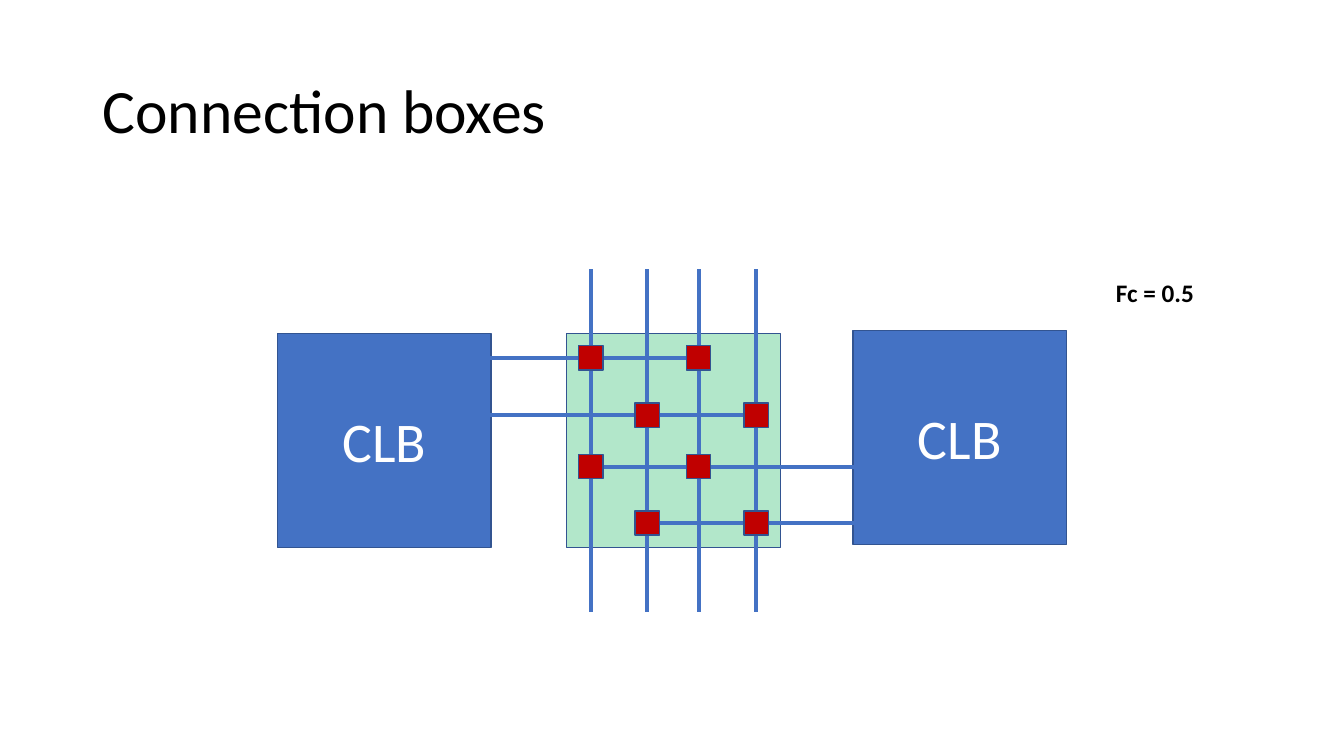
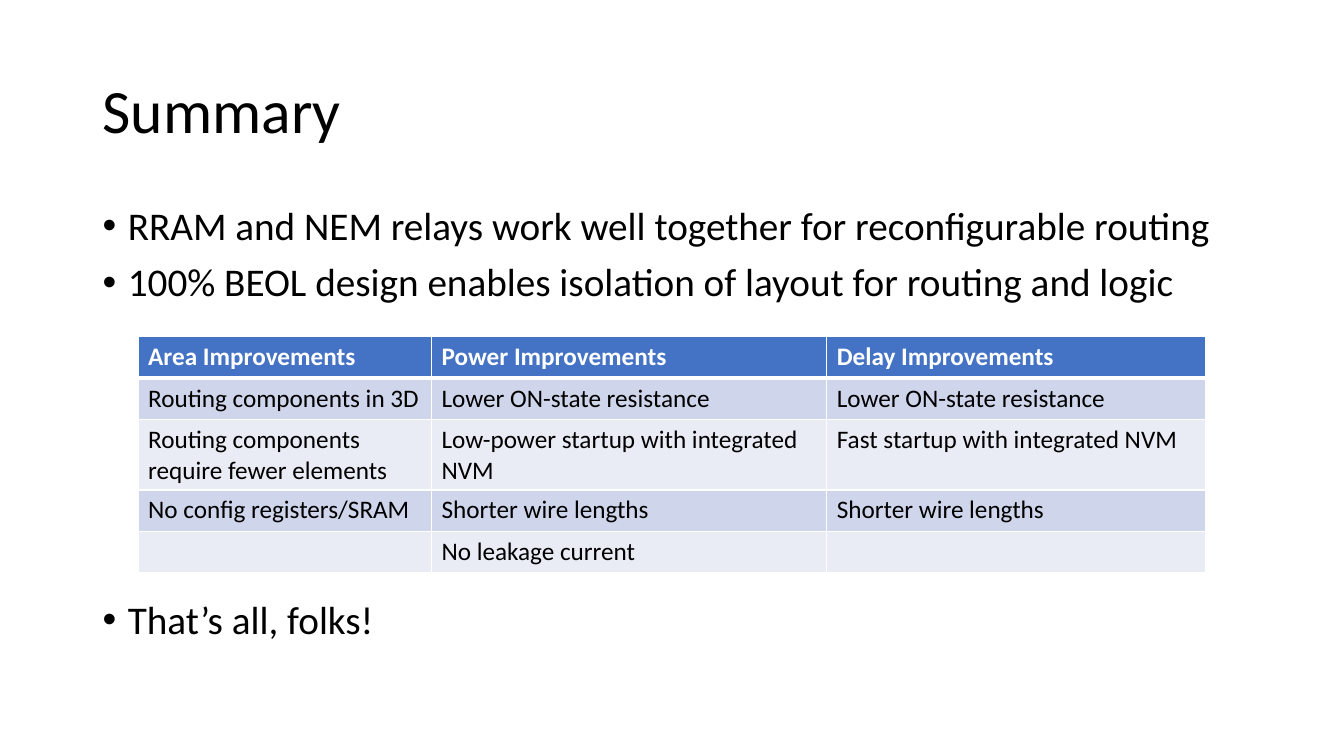
from lxml import etree
from pptx import Presentation
from pptx import util as u
from pptx.dml.color import RGBColor
from pptx.enum import shapes, text
from pptx.oxml.ns import qn

# Shared look
FONT = "Calibri"
BLACK, WHITE = "000000", "FFFFFF"
BLUE, OUTLINE = "4472C4", "325491"
GREEN, RED = "00B050", "C00000"
BANDS = ("CFD5EA", "E9EBF5")

# Connection box geometry, in inches
TRACKS_X = (5.86, 6.42, 6.93, 7.5)
PINS_Y = (3.55, 4.12, 4.63, 5.19)
WIRE_ENDS_X = ((4.09, TRACKS_X[2]), (4.09, TRACKS_X[3]),
               (TRACKS_X[0], 9.27), (TRACKS_X[1], 9.83))
BLOCK, SWITCH = 2.12, 0.24

IMPROVEMENTS = (
    ("Area Improvements", "Power Improvements", "Delay Improvements"),
    ("Routing components in 3D", "Lower ON-state resistance",
     "Lower ON-state resistance"),
    ("Routing components require fewer elements",
     "Low-power startup with integrated NVM",
     "Fast startup with integrated NVM"),
    ("No config registers/SRAM", "Shorter wire lengths",
     "Shorter wire lengths"),
    ("", "No leakage current", ""),
)


def rgb(value):
    return RGBColor.from_string(value)


def inches(*values):
    return [u.Inches(value) for value in values]


def apply(target, values):
    for name, value in values.items():
        setattr(target, name, value)


def write(paragraph, words, size, color=BLACK, bold=False, **layout):
    run = paragraph.add_run()
    run.text = words
    apply(run.font, {"name": FONT, "size": u.Pt(size), "bold": bold})
    run.font.color.rgb = rgb(color)
    apply(paragraph, layout)


def add_text_box(slide, box, **frame_format):
    frame = slide.shapes.add_textbox(*inches(*box)).text_frame
    apply(frame, {"word_wrap": True, **frame_format})
    return frame


def add_title(slide, words):
    frame = add_text_box(slide, (0.92, 0.4, 11.5, 1.45),
                         vertical_anchor=text.MSO_ANCHOR.MIDDLE)
    write(frame.paragraphs[0], words, 44, line_spacing=0.9)


def add_square(slide, left, top, side, color, label="", opacity=None):
    square = slide.shapes.add_shape(shapes.MSO_SHAPE.RECTANGLE,
                                    *inches(left, top, side, side))
    square.shadow.inherit = False
    square.fill.solid()
    square.fill.fore_color.rgb = rgb(color)
    if opacity is not None:
        fill_color = square.element.spPr.find(
            f"{qn('a:solidFill')}/{qn('a:srgbClr')}")
        etree.SubElement(fill_color, qn("a:alpha"), val=str(opacity * 1000))
    square.line.color.rgb = rgb(OUTLINE)
    square.line.width = u.Pt(1)
    if label:
        square.text_frame.vertical_anchor = text.MSO_ANCHOR.MIDDLE
        write(square.text_frame.paragraphs[0], label, 40, WHITE,
              alignment=text.PP_ALIGN.CENTER)


def add_wire(slide, *ends):
    wire = slide.shapes.add_connector(shapes.MSO_CONNECTOR.STRAIGHT,
                                      *inches(*ends))
    wire.line.color.rgb = rgb(BLUE)
    wire.line.width = u.Pt(3)
    etree.SubElement(wire.element.spPr, qn("a:effectLst"))


def add_bullet(paragraph, words, space_before):
    write(paragraph, words, 28, line_spacing=0.9,
          space_before=u.Pt(space_before))
    properties = paragraph._p.get_or_add_pPr()
    properties.set("marL", str(u.Inches(0.25)))
    properties.set("indent", str(u.Inches(-0.25)))
    etree.SubElement(properties, qn("a:buFont"), typeface="Arial")
    etree.SubElement(properties, qn("a:buChar"), char="•")


def add_borders(cell, top, bottom):
    properties = cell._tc.get_or_add_tcPr()
    for side, width in (("L", 1), ("R", 1), ("T", top), ("B", bottom)):
        border = etree.SubElement(properties, qn(f"a:ln{side}"),
                                  w=str(u.Pt(width)))
        fill = etree.SubElement(border, qn("a:solidFill"))
        etree.SubElement(fill, qn("a:srgbClr"), val=WHITE)


def add_table(slide, rows, box, column_widths, row_height):
    table = slide.shapes.add_table(len(rows), len(column_widths),
                                   *inches(*box)).table
    for column, width in zip(table.columns, column_widths):
        column.width = u.Inches(width)
    for row_index, words_in_row in enumerate(rows):
        table.rows[row_index].height = u.Inches(row_height)
        header = row_index == 0
        for column_index, words in enumerate(words_in_row):
            cell = table.cell(row_index, column_index)
            add_borders(cell, top=3 if row_index == 1 else 1,
                        bottom=3 if header else 1)
            cell.fill.solid()
            cell.fill.fore_color.rgb = rgb(
                BLUE if header else BANDS[(row_index - 1) % 2])
            if words:
                write(cell.text_frame.paragraphs[0], words, 18,
                      WHITE if header else BLACK, header)


def build_connection_boxes(slide):
    add_title(slide, "Connection boxes")

    # Logic blocks and the connection box between them
    add_square(slide, 2.75, 3.31, BLOCK, BLUE, "CLB")
    add_square(slide, 5.62, 3.31, BLOCK, GREEN, opacity=30)
    add_square(slide, 8.46, 3.28, BLOCK, BLUE, "CLB")

    # Routing tracks and pin wires
    for x in TRACKS_X:
        add_wire(slide, x, 6.07, x, 2.67)
    for y, (start, end) in zip(PINS_Y, WIRE_ENDS_X):
        add_wire(slide, start, y, end, y)

    # Each pin reaches every other track
    for pin, y in enumerate(PINS_Y):
        for x in TRACKS_X[pin % 2::2]:
            add_square(slide, x - SWITCH / 2, y - SWITCH / 2, SWITCH, RED)

    flexibility = add_text_box(slide, (10.97, 2.7, 0.98, 0.4),
                               word_wrap=False)
    write(flexibility.paragraphs[0], "Fc = 0.5", 18, bold=True)


def build_summary(slide):
    add_title(slide, "Summary")

    # The last point leaves room for the table
    points = add_text_box(slide, (0.92, 2, 11.5, 4.76))
    add_bullet(points.paragraphs[0], "RRAM and NEM relays work well together "
               "for reconfigurable routing", 10)
    add_bullet(points.add_paragraph(), "100% BEOL design enables isolation "
               "of layout for routing and logic", 10)
    add_bullet(points.add_paragraph(), "That’s all, folks!", 211)

    add_table(slide, IMPROVEMENTS, (1.37, 3.34, 10.59, 2.05),
              (2.91, 3.92, 3.76), 0.41)


def main():
    deck = Presentation()
    apply(deck, {"slide_width": u.Inches(13.33),
                 "slide_height": u.Inches(7.5)})
    for build in (build_connection_boxes, build_summary):
        build(deck.slides.add_slide(deck.slide_layouts[6]))
    deck.save("out.pptx")


if __name__ == "__main__":
    main()
